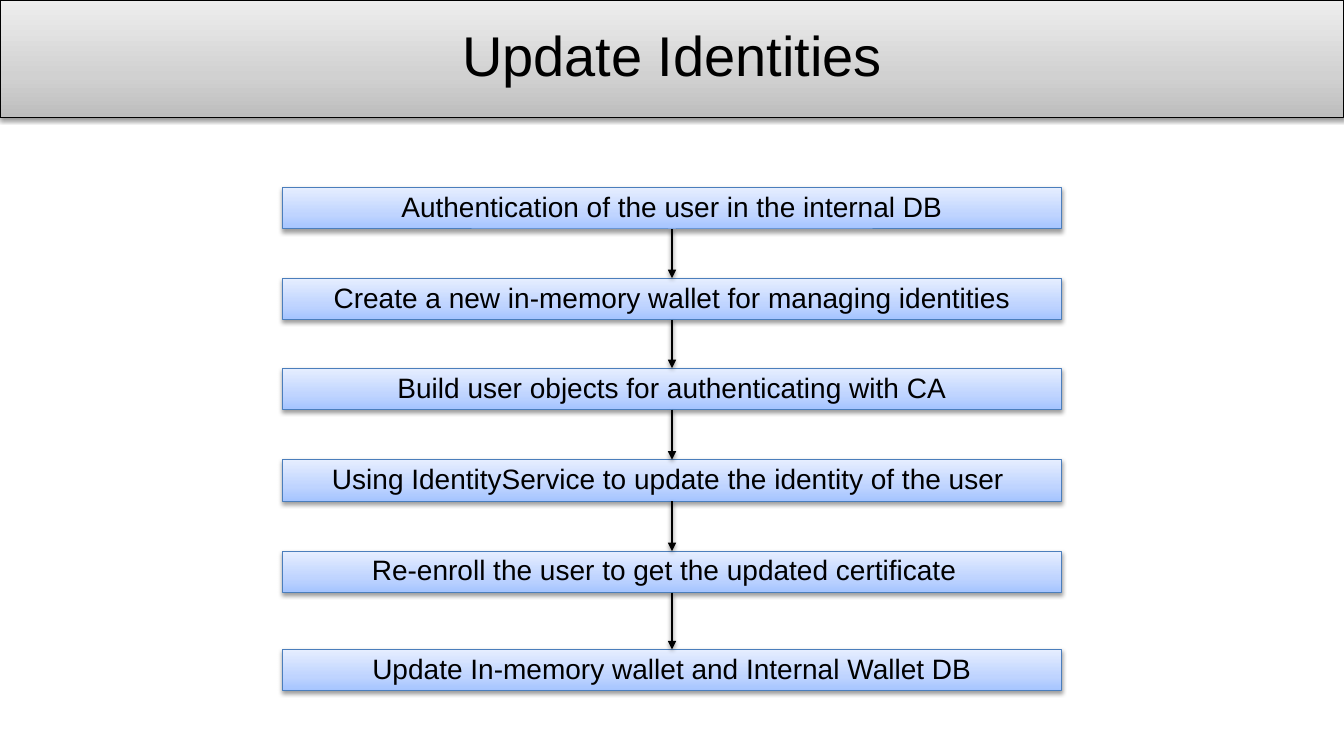
from itertools import pairwise

from lxml import etree
from pptx import Presentation
from pptx import util as u
from pptx.dml.color import RGBColor
from pptx.enum import shapes, text
from pptx.oxml import ns

WIDTH, HEIGHT = u.Inches(13.33), u.Inches(7.5)
COLUMN, ROW = WIDTH / 100, HEIGHT / 100

BLACK = RGBColor(0x00, 0x00, 0x00)
STEP_EDGE = RGBColor(0x4B, 0x7E, 0xBC)
# Gradients run from the bottom edge to the top edge.
GRAY_SHADES = (RGBColor(0xBD, 0xBD, 0xBD), RGBColor(0xD1, 0xD1, 0xD1), RGBColor(0xEE, 0xEE, 0xEE))
BLUE_SHADES = (RGBColor(0xA4, 0xC4, 0xFF), RGBColor(0xBF, 0xD4, 0xFF), RGBColor(0xE6, 0xEE, 0xFF))
STOPS = (0, 35, 100)

STEP_LEFT, STEP_COLUMNS, STEP_ROWS = 21, 58, 5.5
# Top row, wording, right inset in points
STEPS = (
    (24.8, "Authentication of the user in the internal DB", 0),
    (36.8, "Create a new in-memory wallet for managing identities", 0),
    (48.7, "Build user objects for authenticating with CA", 0),
    (60.8, "Using IdentityService to update the identity of the user", 5.5),
    (72.9, "Re-enroll the user to get the updated certificate", 11),
    (85.9, "Update In-memory wallet and Internal Wallet DB", 0),
)


def add_child(parent, tag, **attributes):
    child = etree.SubElement(parent, ns.qn(tag))
    for name, value in attributes.items():
        child.set(name, str(value))
    return child


def add_shadow(properties):
    effects = add_child(properties, "a:effectLst")
    shadow = add_child(effects, "a:outerShdw", blurRad=u.Pt(3.1), dist=u.Pt(1.6),
                       dir=90 * 60000, rotWithShape=0)
    color = add_child(shadow, "a:srgbClr", val=BLACK)
    add_child(color, "a:alpha", val=38000)


def paint_panel(panel, shades, edge):
    """Give a panel its vertical gradient, thin edge and soft shadow."""
    panel.fill.gradient()
    panel.fill.gradient_angle = 90
    properties = panel.element.spPr
    stops = properties.find(".//" + ns.qn("a:gsLst"))
    for stop in list(stops):
        stops.remove(stop)
    for position, shade in zip(STOPS, shades):
        stop = add_child(stops, "a:gs", pos=position * 1000)
        add_child(stop, "a:srgbClr", val=shade)
    panel.line.color.rgb = edge
    panel.line.width = u.Pt(0.75)
    add_shadow(properties)


def write_text(panel, wording, *, size, font="Arial", color=BLACK, right_inset=0):
    frame = panel.text_frame
    frame.word_wrap = True
    frame.auto_size = text.MSO_AUTO_SIZE.NONE
    frame.vertical_anchor = text.MSO_ANCHOR.MIDDLE
    frame.margin_left = frame.margin_top = frame.margin_bottom = 0
    frame.margin_right = u.Pt(right_inset)
    para = frame.paragraphs[0]
    para.alignment = text.PP_ALIGN.CENTER
    para.line_spacing = 0.9
    span = para.add_run()
    span.text = wording
    span.font.name = font
    span.font.size = u.Pt(size)
    span.font.color.rgb = color


def add_title(page, wording, left, top, width, height):
    title = page.shapes.title
    title.left, title.top, title.width, title.height = map(round, (left, top, width, height))
    paint_panel(title, GRAY_SHADES, BLACK)
    write_text(title, wording, size=40)


def add_step(page, wording, left, top, width, height, right_inset):
    box = page.shapes.add_shape(shapes.MSO_SHAPE.RECTANGLE,
                                *map(round, (left, top, width, height)))
    paint_panel(box, BLUE_SHADES, STEP_EDGE)
    write_text(box, wording, size=20, right_inset=right_inset)
    return box


def add_arrow(page, upper, lower):
    arrow = page.shapes.add_connector(shapes.MSO_CONNECTOR.STRAIGHT, 0, 0, 0, 0)
    arrow.begin_connect(upper, 2)
    arrow.end_connect(lower, 0)
    arrow.line.color.rgb = BLACK
    arrow.line.width = u.Pt(2)
    properties = arrow.element.spPr
    add_child(properties.find(ns.qn("a:ln")), "a:tailEnd", type="triangle")
    add_shadow(properties)


def add_flow(page, left, width):
    """Stack the steps in one column and join neighbours with arrows."""
    boxes = [add_step(page, wording, left, top * ROW, width, STEP_ROWS * ROW, right_inset)
             for top, wording, right_inset in STEPS]
    for upper, lower in pairwise(boxes):
        add_arrow(page, upper, lower)


def main():
    deck = Presentation()
    deck.slide_width, deck.slide_height = WIDTH, HEIGHT
    page = deck.slides.add_slide(deck.slide_layouts[5])
    add_title(page, "Update Identities", 0, 0, WIDTH, 15.5 * ROW)
    add_flow(page, STEP_LEFT * COLUMN, STEP_COLUMNS * COLUMN)
    deck.save("out.pptx")


if __name__ == "__main__":
    main()
